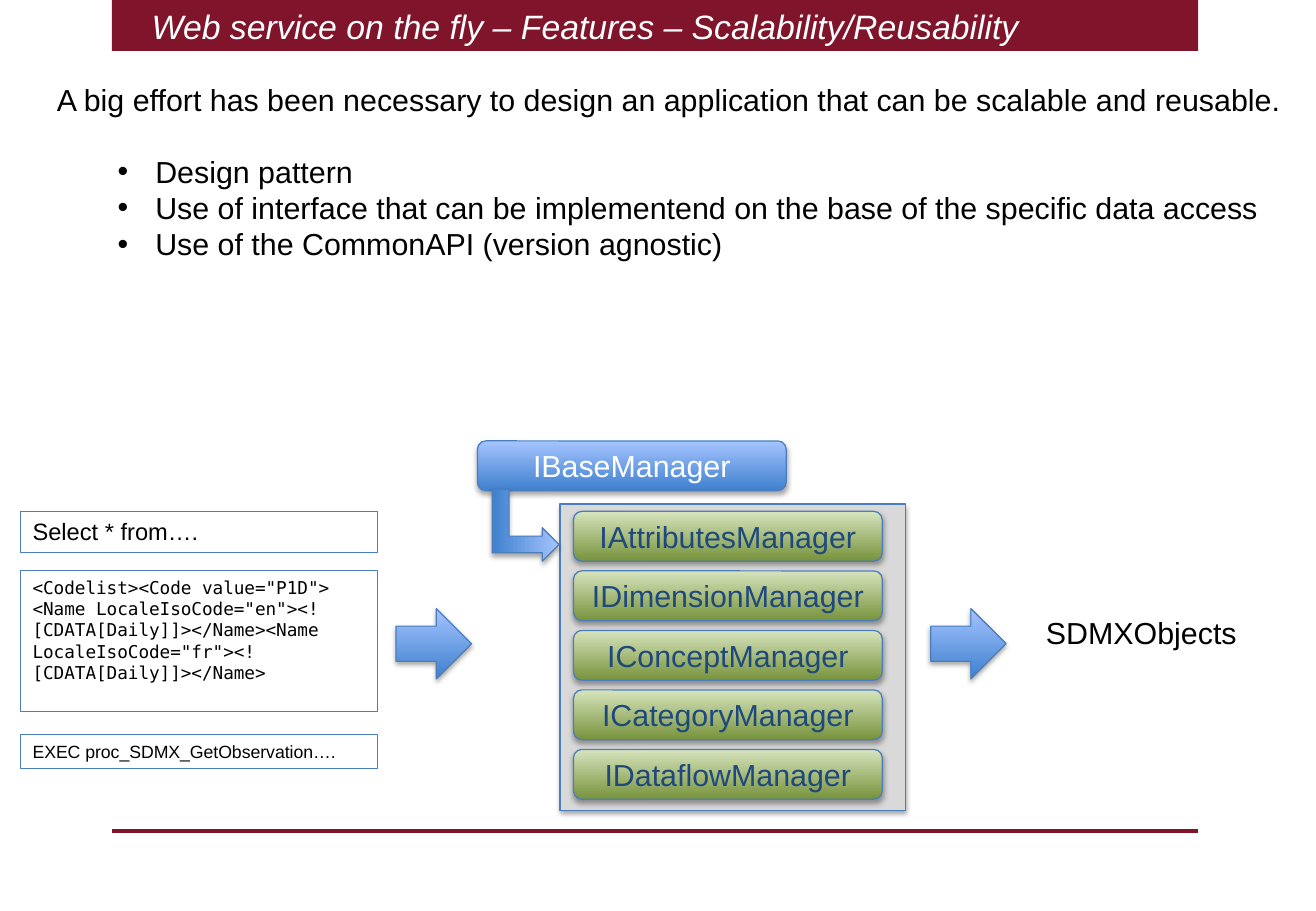
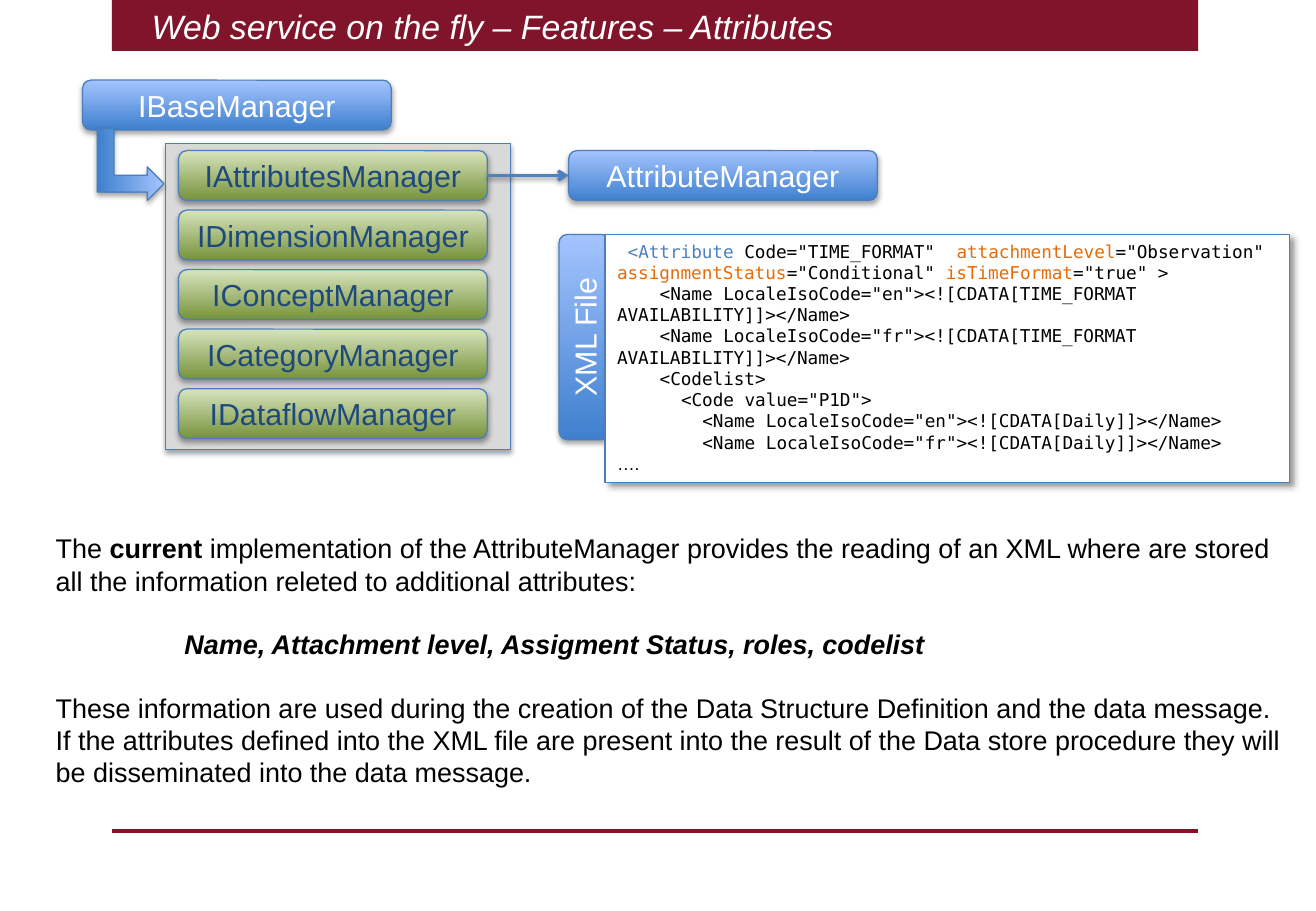
from lxml import etree
from pptx import Presentation
from pptx import util as u
from pptx.dml.color import RGBColor
from pptx.enum import shapes, text
from pptx.oxml import ns

COLORS = {
    "crimson": "7F142A", "white": "FFFFFF", "black": "000000",
    "panel": "D9D9D9", "outline": "4B7EBC", "link": "4F81BD",
    "navy": "1F497D", "orange": "E46C0A",
    "blue_dark": "3F80CE", "blue_light": "A4C4FF",
    "green_dark": "77933C", "green_light": "D7E4BD",
}
BLUE = ("blue_dark", "blue_light")
GREEN = ("green_dark", "green_light")
SANS, MONO = "Arial", "DejaVu Sans Mono"
KIND = shapes.MSO_SHAPE

# Shadows: opacity in percent, blur and distance in points, direction in degrees
SOFT_SHADOW = (35, 3.1, 1.8, 90)
LINK_SHADOW = (38, 3.1, 1.6, 90)
CARD_SHADOW = (40, 4, 3, 45)

MANAGERS = ["IAttributesManager", "IDimensionManager", "IConceptManager",
            "ICategoryManager", "IDataflowManager"]
BUTTON_WIDTH, BUTTON_HEIGHT = 2.54, 0.41
MANAGER_STEP = 0.49
CODE_INDENT = 0.0878  # width of one monospaced character at 10.5 pt


def rgb(name):
    return RGBColor.from_string(COLORS[name])


def add_child(parent, tag, **attributes):
    return etree.SubElement(parent, ns.qn(tag),
                            {key: str(value) for key, value in attributes.items()})


# Text
def paragraph_of(*runs, **layout):
    """Runs are strings or (string, format) pairs; layout is in inches and points."""
    return {"runs": runs, **layout}


def write_text(shape, *paragraphs, size=18, color="black", font=SANS, bold=False,
               italic=False, align=text.PP_ALIGN.LEFT, anchor=text.MSO_ANCHOR.TOP):
    frame = shape.text_frame
    frame.word_wrap = True
    frame.vertical_anchor = anchor
    base = dict(size=size, color=color, font=font, bold=bold, italic=italic)
    for index, item in enumerate(paragraphs):
        item = paragraph_of(item) if isinstance(item, str) else item
        paragraph = frame.add_paragraph() if index else frame.paragraphs[0]
        paragraph.alignment = align
        paragraph.space_before = u.Pt(item.get("before", 0))
        properties = paragraph._p.get_or_add_pPr()
        properties.set("marL", str(u.Inches(item.get("left", 0))))
        properties.set("indent", str(u.Inches(item.get("first", 0))))
        if "bullet" in item:
            add_child(properties, "a:buFont", typeface=SANS)
            add_child(properties, "a:buChar", char=item["bullet"])
        for part in item["runs"]:
            words, changes = (part, {}) if isinstance(part, str) else part
            style = {**base, **changes}
            run = paragraph.add_run()
            run.text = words
            run.font.size = u.Pt(style["size"])
            run.font.name = style["font"]
            run.font.bold = style["bold"]
            run.font.italic = style["italic"]
            run.font.color.rgb = rgb(style["color"])


def add_text(slide, box, *paragraphs, **style):
    shape = slide.shapes.add_textbox(*map(u.Inches, box))
    write_text(shape, *paragraphs, **style)
    return shape


# Shapes
def set_shadow(shape, opacity, blur, distance, direction):
    properties = shape._element.spPr
    effects = properties.find(ns.qn("a:effectLst"))
    if effects is None:
        effects = add_child(properties, "a:effectLst")
    outer = add_child(effects, "a:outerShdw", blurRad=u.Pt(blur), dist=u.Pt(distance),
                      dir=direction * 60000, rotWithShape=0)
    color = add_child(outer, "a:srgbClr", val=COLORS["black"])
    add_child(color, "a:alpha", val=opacity * 1000)


def add_box(container, kind, box, fill=None, line="outline", shadow=None):
    """Fill is a colour name, a pair of names for a bottom-to-top gradient, or None."""
    shape = container.shapes.add_shape(kind, *map(u.Inches, box))
    shape.shadow.inherit = False
    if fill is None:
        shape.fill.background()
    elif isinstance(fill, tuple):
        shape.fill.gradient()
        shape.fill.gradient_angle = 90
        for stop, name in zip(shape.fill.gradient_stops, fill):
            stop.color.rgb = rgb(name)
    else:
        shape.fill.solid()
        shape.fill.fore_color.rgb = rgb(fill)
    if line:
        shape.line.color.rgb = rgb(line)
        shape.line.width = u.Pt(0.75)
    else:
        shape.line.fill.background()
    if shadow:
        set_shadow(shape, *shadow)
    return shape


def add_button(container, label, left, top, fill=BLUE, color="white",
               width=BUTTON_WIDTH, height=BUTTON_HEIGHT):
    button = add_box(container, KIND.ROUNDED_RECTANGLE, (left, top, width, height),
                     fill, shadow=SOFT_SHADOW)
    write_text(button, label, color=color, align=text.PP_ALIGN.CENTER,
               anchor=text.MSO_ANCHOR.MIDDLE)
    return button


def add_line(slide, start, end, color):
    line = slide.shapes.add_connector(shapes.MSO_CONNECTOR.STRAIGHT,
                                      *map(u.Inches, start + end))
    line.line.color.rgb = rgb(color)
    line.line.width = u.Pt(2)
    return line


def add_link(slide, source, target):
    """Arrow from the right side of source to the left side of target."""
    link = add_line(slide, (0, 0), (0, 0), "link")
    link.begin_connect(source, 3)
    link.end_connect(target, 1)
    add_child(link.line._get_or_add_ln(), "a:tailEnd", type="arrow")
    set_shadow(link, *LINK_SHADOW)


def add_managers(slide, left, top):
    """Group of the base manager and its interfaces; returns the interface buttons."""
    group = slide.shapes.add_group_shape()
    add_box(group, KIND.RECTANGLE, (left + 0.68, top + 0.52, 2.84, 2.52),
            "panel", shadow=SOFT_SHADOW)
    add_button(group, "IBaseManager", left, top)
    arrow = add_box(group, KIND.BENT_UP_ARROW, (left + 0.1, top + 0.42, 0.59, 0.55),
                    BLUE, shadow=SOFT_SHADOW)
    arrow.rotation = 90
    return [add_button(group, label, left + 0.79, top + 0.58 + row * MANAGER_STEP,
                       GREEN, "navy")
            for row, label in enumerate(MANAGERS)]


# Slides
def add_slide(presentation, title):
    slide = presentation.slides.add_slide(presentation.slide_layouts[6])
    add_box(slide, KIND.RECTANGLE, (0.92, 0, 8.94, 0.42), "crimson", line=None)
    rule = add_line(slide, (0.92, 6.84), (9.86, 6.84), "crimson")
    add_child(rule._element.spPr, "a:effectLst")
    add_text(slide, (1.15, 0, 8.38, 0.38), "Web service on the fly – Features – " + title,
             size=20, color="white", italic=True)
    return slide


def build_scalability(presentation):
    slide = add_slide(presentation, "Scalability/Reusability")
    add_managers(slide, 3.93, 3.63)

    # Data sources
    sources = [
        (4.21, 0.34, 14, SANS, ["Select * from…."]),
        (4.7, 1.16, 10.5, MONO, [
            '<Codelist><Code value="P1D">',
            '<Name LocaleIsoCode="en"><![CDATA[Daily]]></Name>'
            '<Name LocaleIsoCode="fr"><![CDATA[Daily]]></Name>']),
        (6.05, 0.28, 10.5, SANS, ["EXEC proc_SDMX_GetObservation…."]),
    ]
    for top, height, size, font, lines in sources:
        source = add_box(slide, KIND.RECTANGLE, (0.17, top, 2.94, height))
        write_text(source, *lines, size=size, font=font)

    # Flow to the result
    for left in (3.26, 7.66):
        add_box(slide, KIND.RIGHT_ARROW, (left, 5.01, 0.62, 0.58), BLUE, shadow=SOFT_SHADOW)
    add_text(slide, (8.51, 5.01, 1.94, 0.4), "SDMXObjects")

    # Introduction
    points = ["Design pattern",
              "Use of interface that can be implementend on the base of the specific data access",
              "Use of the CommonAPI (version agnostic)"]
    add_text(slide, (0.37, 0.62, 10.4, 1.62),
             "A big effort has been necessary to design an application "
             "that can be scalable and reusable.",
             *[paragraph_of(point, left=0.81, first=-0.31, bullet="•",
                            before=0 if index else 20.7)
               for index, point in enumerate(points)])


def build_attributes(presentation):
    slide = add_slide(presentation, "Attributes")
    attribute_manager = add_button(slide, "AttributeManager", 4.68, 1.24)
    interfaces = add_managers(slide, 0.68, 0.66)
    add_link(slide, interfaces[0], attribute_manager)

    # XML file card
    tab = add_button(slide, "XML File", 4.6, 1.93, width=0.42, height=1.69)
    tab.text_frame._txBody.bodyPr.set("vert", "vert270")
    card = add_box(slide, KIND.RECTANGLE, (4.98, 1.93, 5.63, 2.04), "white",
                   shadow=CARD_SHADOW)
    blue, orange = {"color": "link"}, {"color": "orange"}
    code = [
        (1, ("<Attribute ", blue), 'Code="TIME_FORMAT"  ', ("attachmentLevel", orange),
         '="Observation" ', ("assignmentStatus", orange), '="Conditional" ',
         ("isTimeFormat", orange), '="true" >'),
        (4, '<Name LocaleIsoCode="en"><![CDATA[TIME_FORMAT AVAILABILITY]]></Name>'),
        (4, '<Name LocaleIsoCode="fr"><![CDATA[TIME_FORMAT AVAILABILITY]]></Name>'),
        (4, "<Codelist>"),
        (6, '<Code value="P1D">'),
        (8, '<Name LocaleIsoCode="en"><![CDATA[Daily]]></Name>'),
        (8, '<Name LocaleIsoCode="fr"><![CDATA[Daily]]></Name>'),
        (0, ("….", {"font": SANS})),
    ]
    write_text(card, *[paragraph_of(*runs, first=depth * CODE_INDENT)
                       for depth, *runs in code], size=10.5, font=MONO)

    # Explanation
    add_text(slide, (0.36, 4.33, 10.41, 2.26),
             paragraph_of("The ", ("current ", {"bold": True}),
                          "implementation of the AttributeManager provides the reading "
                          "of an XML where are stored"),
             "all the information releted to additional attributes:",
             paragraph_of(("Name, Attachment level, Assigment Status, roles, codelist",
                           {"bold": True, "italic": True}), left=1.06, before=18.4),
             paragraph_of("These information are used during the creation of the "
                          "Data Structure Definition and the data message.", before=18.4),
             "If the attributes defined into the XML file are present into the result of "
             "the Data store procedure they will be disseminated into the data message.",
             size=16)


def main():
    presentation = Presentation()
    presentation.slide_width = u.Inches(10.83)
    presentation.slide_height = u.Inches(7.5)
    build_scalability(presentation)
    build_attributes(presentation)
    presentation.save("out.pptx")


if __name__ == "__main__":
    main()
